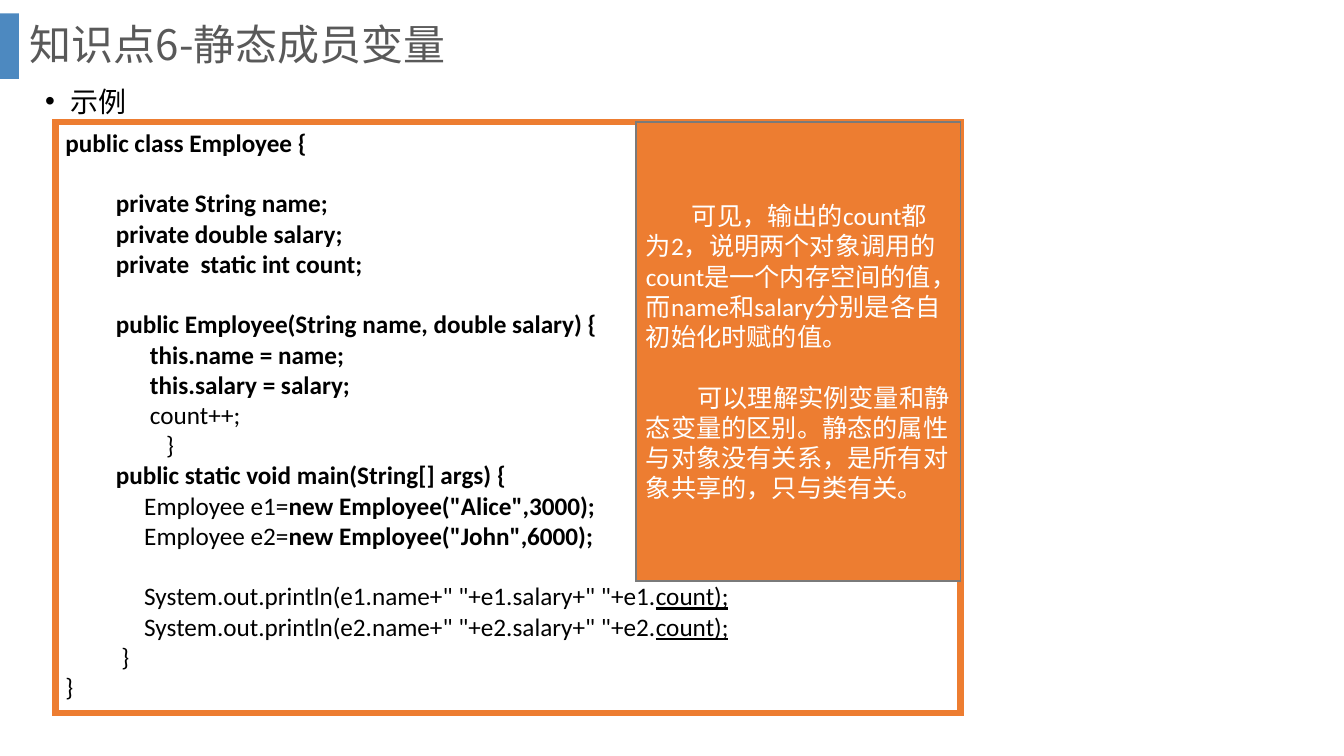
from dataclasses import dataclass

from lxml import etree
from pptx import Presentation
from pptx.dml.color import RGBColor
from pptx.enum.shapes import MSO_SHAPE
from pptx.enum.text import MSO_ANCHOR, PP_ALIGN
from pptx.oxml.ns import qn
from pptx.util import Cm, Pt

RECTANGLE = MSO_SHAPE.RECTANGLE
TOP, MIDDLE = MSO_ANCHOR.TOP, MSO_ANCHOR.MIDDLE
LEFT = PP_ALIGN.LEFT


@dataclass(frozen=True)
class Theme:
    blue: str = "2E75B6"
    orange: str = "ED7D31"
    outline: str = "7A7A7A"
    title: str = "595959"
    black: str = "000000"
    white: str = "FFFFFF"
    chinese: str = "Noto Sans CJK SC"
    latin: str = "Calibri"
    title_size: int = 30
    topic_size: int = 20
    body_size: int = 18
    blank_line: float = 21.6


class SlideBuilder:
    def __init__(self, presentation, theme):
        self.theme = theme
        self.slide = presentation.slides.add_slide(presentation.slide_layouts[6])

    def rectangle(self, left, top, width, height, fill=None, line=None, weight=1, opacity=None):
        """Add a rectangle with sharp corners; opacity is a percentage."""
        shape = self.slide.shapes.add_shape(
            RECTANGLE, Cm(left), Cm(top), Cm(width), Cm(height))
        shape.shadow.inherit = False
        if fill:
            shape.fill.solid()
            shape.fill.fore_color.rgb = RGBColor.from_string(fill)
        else:
            shape.fill.background()
        if line:
            shape.line.color.rgb = RGBColor.from_string(line)
            shape.line.width = Pt(weight)
            outline = shape.line._get_or_add_ln()
            etree.SubElement(outline, qn("a:miter")).set("lim", "800000")
        else:
            shape.line.fill.background()
        if opacity:
            color = shape.fill._xPr.find(qn("a:solidFill"))[0]
            etree.SubElement(color, qn("a:alpha")).set("val", str(opacity * 1000))
        return shape

    def text_box(self, left, top, width, height):
        return self.slide.shapes.add_textbox(Cm(left), Cm(top), Cm(width), Cm(height))

    def frame(self, shape, anchor):
        text_frame = shape.text_frame
        text_frame.word_wrap = True
        text_frame.vertical_anchor = anchor
        return text_frame

    def paragraph(self, text_frame, first, margin=0, indent=0, gap=0, bullet=None):
        """Return the first paragraph of the frame, or a new one below the last."""
        paragraph = text_frame.paragraphs[0] if first else text_frame.add_paragraph()
        properties = paragraph._p.get_or_add_pPr()
        properties.set("marL", str(Cm(margin)))
        properties.set("indent", str(Cm(indent)))
        if bullet:
            etree.SubElement(properties, qn("a:buFont")).set("typeface", "Arial")
            etree.SubElement(properties, qn("a:buChar")).set("char", bullet)
        paragraph.alignment = LEFT
        if gap:
            paragraph.space_before = Pt(gap)
        return paragraph

    def run(self, paragraph, text, size, color, font, bold=False, underline=False):
        run = paragraph.add_run()
        run.text = text
        run.font.size = Pt(size)
        run.font.color.rgb = RGBColor.from_string(color)
        run.font.name = font
        run.font.bold = bold
        run.font.underline = underline
        east_asian = etree.Element(qn("a:ea"), typeface=self.theme.chinese)
        run.font._rPr.find(qn("a:latin")).addnext(east_asian)

    def title(self, text):
        text_frame = self.frame(self.text_box(0.5, 0, 32.16, 2.36), MIDDLE)
        paragraph = self.paragraph(text_frame, True)
        paragraph.line_spacing = 0.9
        self.run(paragraph, text, self.theme.title_size, self.theme.title, self.theme.chinese)

    def topic(self, text):
        text_frame = self.frame(self.text_box(0.89, 1.57, 3.48, 1.7), TOP)
        paragraph = self.paragraph(text_frame, True, 0.64, -0.64, bullet="•")
        paragraph.line_spacing = 1.5
        self.run(paragraph, text, self.theme.topic_size, self.theme.black, self.theme.chinese)

    def code(self, shape, lines):
        """Write lines of (margin, blank line above, runs of (text, style))."""
        theme = self.theme
        text_frame = self.frame(shape, TOP)
        for index, (margin, blank_above, runs) in enumerate(lines):
            gap = theme.blank_line if blank_above else 0
            paragraph = self.paragraph(text_frame, index == 0, margin, gap=gap)
            for text, style in runs:
                self.run(paragraph, text, theme.body_size, theme.black, theme.latin,
                         style == BOLD, style == UNDERLINE)

    def note(self, shape, paragraphs):
        """Write (first-line indent, text) paragraphs, one blank line apart."""
        theme = self.theme
        text_frame = self.frame(shape, MIDDLE)
        for index, (indent, text) in enumerate(paragraphs):
            gap = theme.blank_line if index else 0
            paragraph = self.paragraph(text_frame, index == 0, indent=indent, gap=gap)
            self.run(paragraph, text, theme.body_size, theme.white, theme.latin)


PLAIN, BOLD, UNDERLINE = "plain", "bold", "underline"
MEMBER, CLOSING = 1.27, 2.54


def create_employee(variable, arguments):
    return (MEMBER, False, [(f"     Employee {variable}=", PLAIN),
                            (f"new Employee({arguments});", BOLD)])


def print_employee(variable, blank_above):
    call = f'     System.out.println({variable}.name+" "+{variable}.salary+" "+{variable}.'
    return (MEMBER, blank_above, [(call, PLAIN), ("count);", UNDERLINE)])


CODE = [
    (0, False, [("public class Employee {", BOLD)]),
    (MEMBER, True, [("private String name;", BOLD)]),
    (MEMBER, False, [("private double salary;", BOLD)]),
    (MEMBER, False, [("private  static int count;", BOLD)]),
    (MEMBER, True, [("public Employee(String name, double salary) {", BOLD)]),
    (MEMBER, False, [("      this.name = name;", BOLD)]),
    (MEMBER, False, [("      this.salary = salary;", BOLD)]),
    (MEMBER, False, [("      ", BOLD), ("count++;", PLAIN)]),
    (CLOSING, False, [("}", PLAIN)]),
    (MEMBER, False, [("public static void main(String[] args) {", BOLD)]),
    create_employee("e1", '"Alice",3000'),
    create_employee("e2", '"John",6000'),
    print_employee("e1", True),
    print_employee("e2", False),
    (MEMBER, False, [(" }", PLAIN)]),
    (0, False, [("}", PLAIN)]),
]

NOTE = [
    (1.16, "可见，输出的count都为2，说明两个对象调用的count是一个内存空间的值，"
           "而name和salary分别是各自初始化时赋的值。"),
    (1.3, "可以理解实例变量和静态变量的区别。静态的属性与对象没有关系，"
          "是所有对象共享的，只与类有关。"),
]


def main():
    presentation = Presentation()
    presentation.slide_width, presentation.slide_height = Cm(33.87), Cm(19.05)
    theme = Theme()
    builder = SlideBuilder(presentation, theme)
    builder.rectangle(0, 0.34, 0.48, 1.65, theme.blue, opacity=85)
    builder.title("知识点6-静态成员变量")
    builder.topic("示例")
    code_box = builder.rectangle(1.4, 3.08, 22.81, 14.88, line=theme.orange, weight=4.5)
    builder.code(code_box, CODE)
    note_box = builder.rectangle(16.03, 3.08, 8.18, 11.56, theme.orange, theme.outline)
    builder.note(note_box, NOTE)
    presentation.save("out.pptx")


if __name__ == "__main__":
    main()
